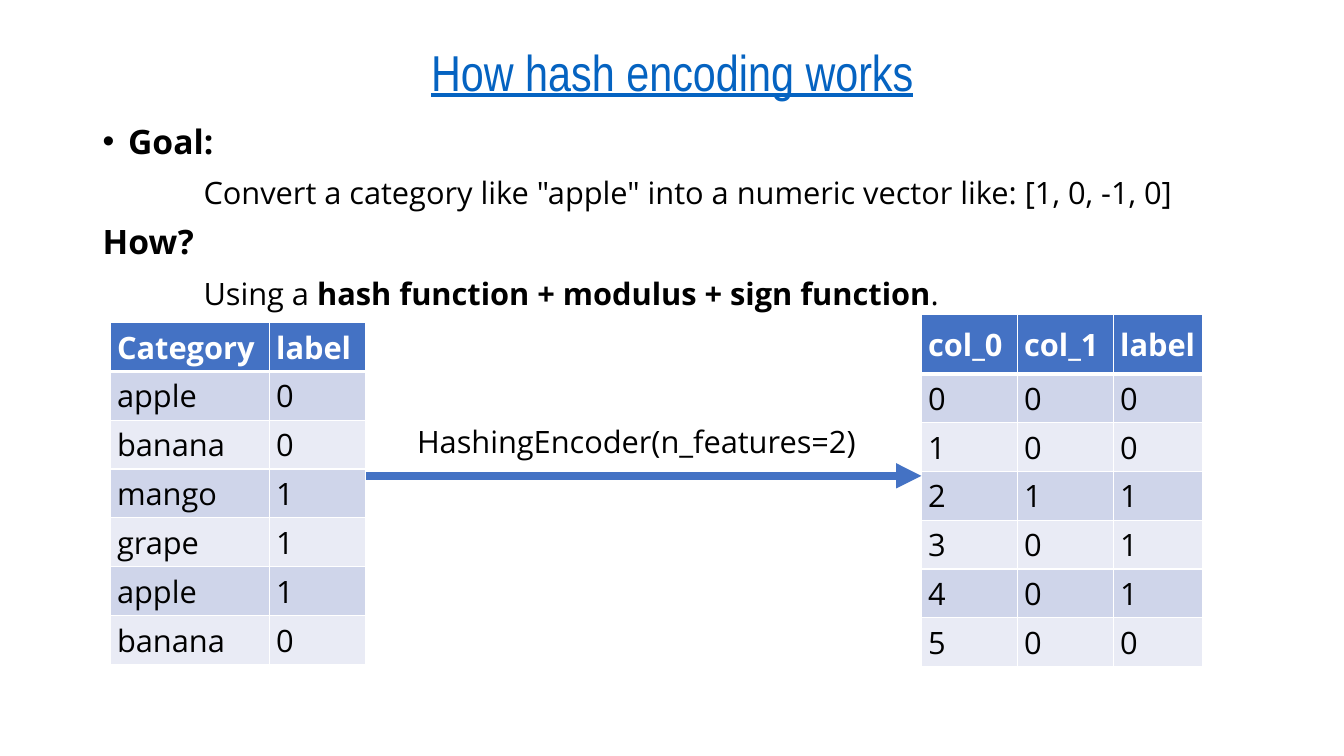
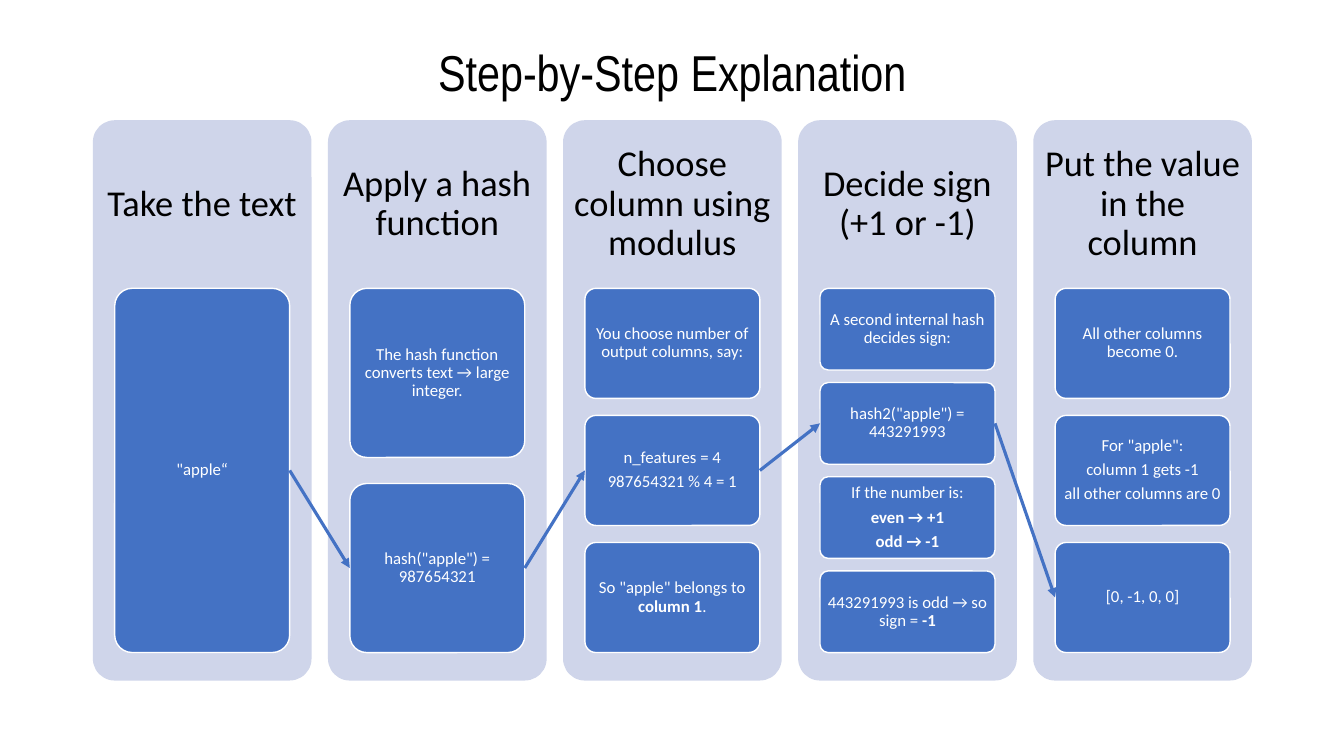
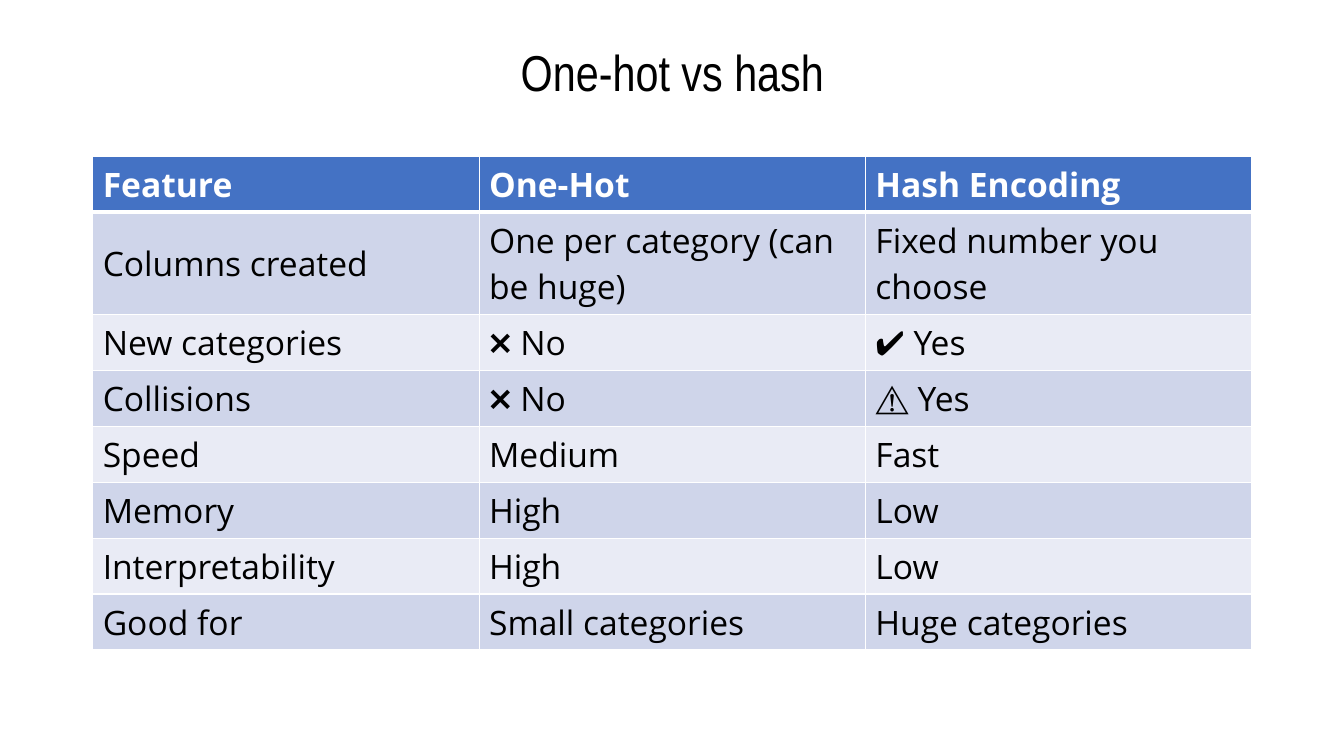
from dataclasses import dataclass, replace

from lxml.etree import SubElement
from pptx import Presentation
from pptx.dml.color import RGBColor
from pptx.enum.shapes import MSO_CONNECTOR, MSO_SHAPE
from pptx.enum.text import MSO_ANCHOR, MSO_AUTO_SIZE, PP_ALIGN
from pptx.oxml.ns import qn
from pptx.util import Cm, Pt

BLUE, PALE, PALER = "4472C4", "CFD5EA", "E9EBF5"
WHITE, BLACK, LINK = "FFFFFF", "000000", "0563C1"
LEFT, CONTENT_TOP, WIDTH, CONTENT_HEIGHT = 2.34, 3.03, 29.21, 14.12
SIDE_LEFT, SIDE_RIGHT = 1, 3


class Bold(str):
    """A span of bold text."""


@dataclass(frozen=True)
class Style:
    font: str
    size: float
    color: str = BLACK
    underline: bool = False
    align: PP_ALIGN = PP_ALIGN.LEFT
    line_spacing: float = 1.0
    space_after: float = 0


TITLE = Style("Arial Narrow", 36, align=PP_ALIGN.CENTER, line_spacing=0.9)
HEADING = Style("Open Sans", 24, line_spacing=0.9)
DETAIL = replace(HEADING, size=22)
LABEL = Style("Open Sans", 22)
PANEL_HEAD = Style("Calibri", 26, align=PP_ALIGN.CENTER, line_spacing=0.9)
TILE = replace(PANEL_HEAD, size=12, color=WHITE, space_after=4.2)


def rgb(color):
    return RGBColor.from_string(color)


def write(para, spans, style):
    """Fill a paragraph with one string or a list of strings."""
    para.alignment = style.align
    para.line_spacing = style.line_spacing
    para.space_after = Pt(style.space_after)
    for text in [spans] if isinstance(spans, str) else spans:
        span = para.add_run()
        span.text = text
        font = span.font
        font.name, font.size = style.font, Pt(style.size)
        font.bold = isinstance(text, Bold)
        font.underline = style.underline
        font.color.rgb = rgb(style.color)


def write_all(frame, paragraphs, style):
    for index, spans in enumerate(paragraphs):
        write(frame.add_paragraph() if index else frame.paragraphs[0], spans, style)


def set_margins(target, across, down):
    target.margin_left = target.margin_right = Cm(across)
    target.margin_top = target.margin_bottom = Cm(down)


def add_text_frame(page, left, top, width, height, anchor=MSO_ANCHOR.TOP):
    box = page.shapes.add_textbox(Cm(left), Cm(top), Cm(width), Cm(height))
    frame = box.text_frame
    frame.word_wrap = True
    frame.vertical_anchor = anchor
    return frame


def add_page(deck, title, style=TITLE):
    page = deck.slides.add_slide(deck.slide_layouts[6])
    frame = add_text_frame(page, LEFT, 1, WIDTH, 1.78, MSO_ANCHOR.MIDDLE)
    write(frame.paragraphs[0], title, style)
    return page


def add_rounded(page, left, top, width, height, color, outline=None):
    shape = page.shapes.add_shape(
        MSO_SHAPE.ROUNDED_RECTANGLE, Cm(left), Cm(top), Cm(width), Cm(height))
    shape.adjustments[0] = 0.1
    shape.shadow.inherit = False
    shape.fill.solid()
    shape.fill.fore_color.rgb = rgb(color)
    if outline:
        shape.line.color.rgb = rgb(outline)
        shape.line.width = Pt(1)
    else:
        shape.line.fill.background()
    return shape


def add_arrow(page, weight, start=(0, 0), end=(0, 0)):
    arrow = page.shapes.add_connector(
        MSO_CONNECTOR.STRAIGHT, *(Cm(length) for length in (*start, *end)))
    arrow.line.color.rgb = rgb(BLUE)
    arrow.line.width = Pt(weight)
    properties = arrow._element.spPr
    SubElement(properties.find(qn("a:ln")), qn("a:tailEnd"), type="triangle")
    SubElement(properties, qn("a:effectLst"))
    return arrow


def join(page, source, target):
    arrow = add_arrow(page, 2.25)
    arrow.begin_connect(source, SIDE_RIGHT)
    arrow.end_connect(target, SIDE_LEFT)


def add_borders(cell, row_index):
    """White grid, with a heavier rule under the header row."""
    weights = {"lnL": 1, "lnR": 1,
               "lnT": 3 if row_index == 1 else 1,
               "lnB": 3 if row_index == 0 else 1}
    for tag, weight in weights.items():
        line = SubElement(cell._tc.get_or_add_tcPr(), qn(f"a:{tag}"), w=str(Pt(weight)))
        SubElement(SubElement(line, qn("a:solidFill")), qn("a:srgbClr"), val=WHITE)


def add_grid(page, left, top, widths, heights, rows, size, margins):
    table = page.shapes.add_table(
        len(rows), len(widths),
        Cm(left), Cm(top), Cm(sum(widths)), Cm(sum(heights))).table
    table.horz_banding = False
    for column, width in zip(table.columns, widths):
        column.width = Cm(width)
    for row_index, (texts, height) in enumerate(zip(rows, heights)):
        header = row_index == 0
        table.rows[row_index].height = Cm(height)
        style = Style("Open Sans", size, WHITE if header else BLACK)
        color = BLUE if header else (PALER, PALE)[row_index % 2]
        for column_index, text in enumerate(texts):
            cell = table.cell(row_index, column_index)
            add_borders(cell, row_index)
            cell.fill.solid()
            cell.fill.fore_color.rgb = rgb(color)
            cell.vertical_anchor = MSO_ANCHOR.MIDDLE
            set_margins(cell, *margins)
            write(cell.text_frame.paragraphs[0], Bold(text) if header else text, style)


def indent(para, left, first_line=0, bullet=None):
    properties = para._p.get_or_add_pPr()
    properties.set("marL", str(Cm(left)))
    properties.set("indent", str(Cm(first_line)))
    if bullet:
        SubElement(properties, qn("a:buFont"), typeface="Arial")
        SubElement(properties, qn("a:buChar"), char=bullet)


def add_goal_text(page):
    frame = add_text_frame(page, LEFT, CONTENT_TOP, WIDTH, CONTENT_HEIGHT)
    lines = [
        (Bold("Goal:"), HEADING),
        ('Convert a category like "apple" into a numeric vector like: [1, 0, -1, 0]', DETAIL),
        (Bold("How?"), HEADING),
        (["Using a ", Bold("hash function + modulus + sign function"), "."], DETAIL),
    ]
    for index, (spans, style) in enumerate(lines):
        para = frame.add_paragraph() if index else frame.paragraphs[0]
        write(para, spans, style)
        if style is DETAIL:
            para.space_before = Pt(12)
            indent(para, 2.54)
        elif index:
            para.space_before = Pt(10)
    indent(frame.paragraphs[0], 0.64, -0.64, "•")


def build_overview(deck):
    page = add_page(deck, "How hash encoding works",
                    replace(TITLE, color=LINK, underline=True))
    add_goal_text(page)
    margins = (0.17, 0.09)
    row_height = 1.23
    categories = [
        ("Category", "label"), ("apple", "0"), ("banana", "0"), ("mango", "1"),
        ("grape", "1"), ("apple", "1"), ("banana", "0"),
    ]
    add_grid(page, 2.78, 8.13, (4.01, 2.43), [row_height] * 7, categories, 22, margins)
    encoded = [("col_0", "col_1", "label"), "000", "100", "211", "301", "401", "500"]
    add_grid(page, 23.22, 7.92, (2.42, 2.42, 2.24), [1.5] + [row_height] * 6,
             encoded, 22, margins)
    add_arrow(page, 6, (9.22, 11.99), (23.22, 11.99))
    frame = add_text_frame(page, 10.26, 10.54, 11.71, 1.19)
    frame.word_wrap = False
    frame.auto_size = MSO_AUTO_SIZE.SHAPE_TO_FIT_TEXT
    write(frame.paragraphs[0], "HashingEncoder(n_features=2)", LABEL)


def add_panel(page, left, width, heading, contents):
    """Draw one step and return its tiles from top to bottom."""
    add_rounded(page, left, CONTENT_TOP, width, CONTENT_HEIGHT, PALE)
    head_height = 0.3 * CONTENT_HEIGHT
    frame = add_text_frame(page, left, CONTENT_TOP, width, head_height, MSO_ANCHOR.MIDDLE)
    set_margins(frame, 0.28, 0.28)
    write(frame.paragraphs[0], heading, PANEL_HEAD)

    gap_ratio = 0.154
    count = len(contents)
    tile_height = 0.65 * CONTENT_HEIGHT / (count + gap_ratio * (count - 1))
    tiles = []
    for index, paragraphs in enumerate(contents):
        top = CONTENT_TOP + head_height + index * tile_height * (1 + gap_ratio)
        tile = add_rounded(page, left + 0.1 * width, top, 0.8 * width, tile_height,
                           BLUE, WHITE)
        frame = tile.text_frame
        frame.word_wrap = True
        frame.vertical_anchor = MSO_ANCHOR.MIDDLE
        set_margins(frame, 0.08, 0.08)
        write_all(frame, paragraphs, TILE)
        tiles.append(tile)
    return tiles


def build_steps(deck):
    page = add_page(deck, "Step-by-Step Explanation")
    steps = [
        ("Take the text", [['"apple“']]),
        ("Apply a hash function", [
            ["The hash function converts text → large integer."],
            ['hash("apple") = 987654321']]),
        ("Choose column using modulus", [
            ["You choose number of output columns, say:"],
            ["n_features = 4", "987654321 % 4 = 1"],
            [['So "apple" belongs to ', Bold("column 1"), "."]]]),
        ("Decide sign (+1 or -1)", [
            ["A second internal hash decides sign:"],
            ['hash2("apple") = 443291993'],
            ["If the number is:", Bold("even → +1"), Bold("odd → -1")],
            [["443291993 is odd → so sign = ", Bold("-1")]]]),
        ("Put the value in the column", [
            ["All other columns become 0."],
            ['For "apple":', "column 1 gets -1", "all other columns are 0"],
            ["[0, -1, 0, 0]"]]),
    ]
    gap_ratio = 0.075
    width = WIDTH / (len(steps) + gap_ratio * (len(steps) - 1))
    panels = [
        add_panel(page, LEFT + index * width * (1 + gap_ratio), width, heading, contents)
        for index, (heading, contents) in enumerate(steps)
    ]
    linked_tiles = [tiles[index] for tiles, index in zip(panels, (0, 1, 1, 1, 2))]
    for source, target in zip(linked_tiles, linked_tiles[1:]):
        join(page, source, target)


def build_comparison(deck):
    page = add_page(deck, "One-hot vs hash")
    rows = [
        ("Feature", "One-Hot", "Hash Encoding"),
        ("Columns created", "One per category (can be huge)", "Fixed number you choose"),
        ("New categories", "❌ No", "✔ Yes"),
        ("Collisions", "❌ No", "⚠️ Yes"),
        ("Speed", "Medium", "Fast"),
        ("Memory", "High", "Low"),
        ("Interpretability", "High", "Low"),
        ("Good for", "Small categories", "Huge categories"),
    ]
    one_line, two_lines = 1.41, 2.57
    heights = [one_line, two_lines] + [one_line] * 6
    add_grid(page, LEFT, 3.94, [WIDTH / 3] * 3, heights, rows, 24, (0.25, 0.13))


def main():
    deck = Presentation()
    deck.slide_width, deck.slide_height = Cm(33.87), Cm(19.05)
    build_overview(deck)
    build_steps(deck)
    build_comparison(deck)
    deck.save("out.pptx")


if __name__ == "__main__":
    main()
